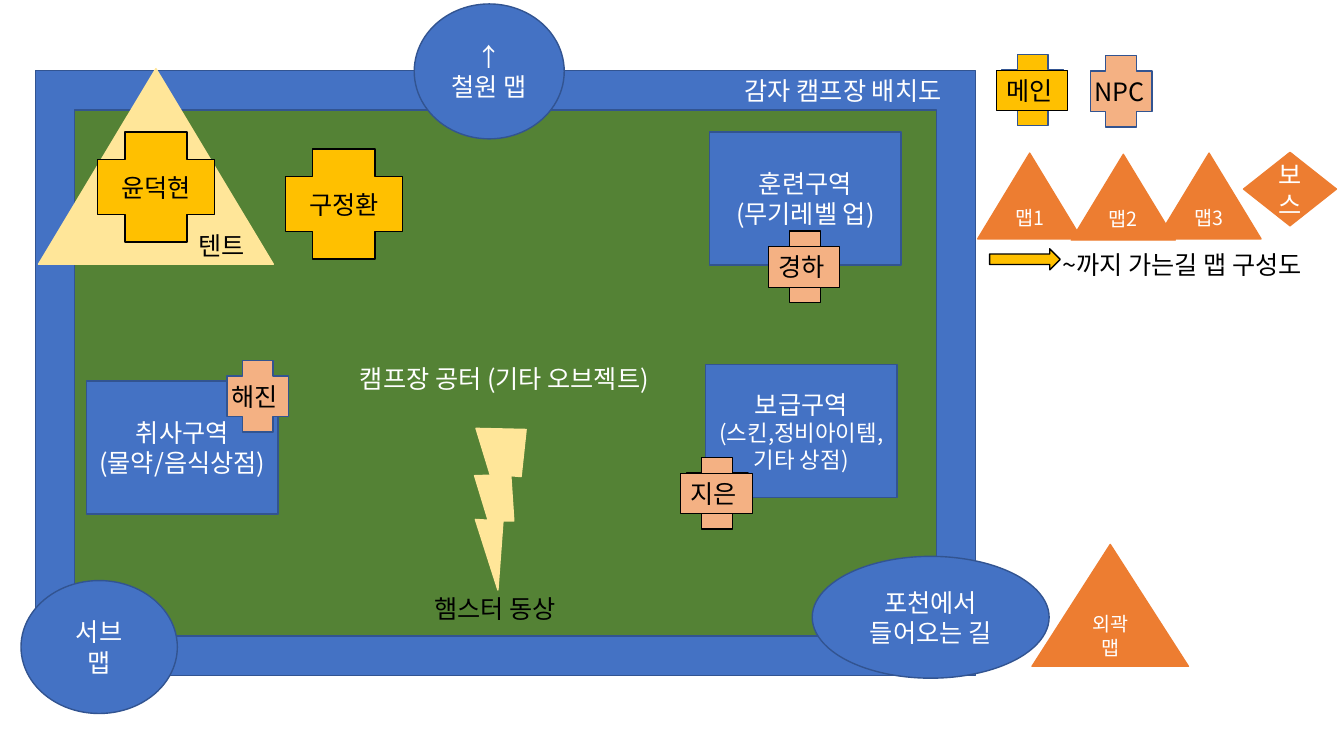
from lxml.etree import SubElement
from pptx import Presentation
from pptx.dml.color import RGBColor
from pptx.enum.shapes import MSO_SHAPE
from pptx.enum.text import MSO_ANCHOR, MSO_AUTO_SIZE, PP_ALIGN
from pptx.oxml.ns import qn
from pptx.util import Cm, Pt

FONT = "Noto Sans CJK KR"
COLORS = {
    "blue": "4472C4",
    "navy": "325491",
    "green": "548235",
    "orange": "ED7D31",
    "peach": "F4B183",
    "gold": "FFC000",
    "cream": "FFE699",
    "white": "FFFFFF",
    "black": "000000",
}
LABEL_HEIGHT = 1.02


def color(name):
    return RGBColor.from_string(COLORS[name])


def write_text(shape, text, size=18, last_size=None, ink="white",
               align=PP_ALIGN.CENTER, anchor=MSO_ANCHOR.MIDDLE, wrap=True, grow=False):
    frame = shape.text_frame
    frame.word_wrap = wrap
    frame.vertical_anchor = anchor
    frame.auto_size = MSO_AUTO_SIZE.SHAPE_TO_FIT_TEXT if grow else MSO_AUTO_SIZE.NONE
    lines = text.split("\n")
    for index, line in enumerate(lines):
        paragraph = frame.add_paragraph() if index else frame.paragraphs[0]
        paragraph.alignment = align
        run = paragraph.add_run()
        run.text = line
        run.font.size = Pt(last_size if last_size and index == len(lines) - 1 else size)
        run.font.name = FONT
        run.font.color.rgb = color(ink)
        SubElement(run.font._element, qn("a:ea")).set("typeface", FONT)


def add_figure(slide, kind, box, fill, line, text=None, line_width=1, **text_format):
    shape = slide.shapes.add_shape(kind, *map(Cm, box))
    shape.shadow.inherit = False
    shape.fill.solid()
    shape.fill.fore_color.rgb = color(fill)
    shape.line.color.rgb = color(line)
    shape.line.width = Pt(line_width)
    if text:
        write_text(shape, text, **text_format)
    return shape


def add_label(slide, text, left, top, width, ink="black", wrap=False):
    label = slide.shapes.add_textbox(Cm(left), Cm(top), Cm(width), Cm(LABEL_HEIGHT))
    write_text(label, text, ink=ink, align=PP_ALIGN.LEFT, anchor=MSO_ANCHOR.TOP,
               wrap=wrap, grow=True)


def add_marker(slide, name, left, top, fill, line, boxed):
    add_figure(slide, MSO_SHAPE.CROSS, (left, top, 1.55, 1.8), fill, line)
    label_left, label_top, label_width = left - 0.14, top + 0.4, 1.8
    if boxed:
        add_figure(slide, MSO_SHAPE.RECTANGLE,
                   (label_left, label_top, label_width, LABEL_HEIGHT), fill, "black", name,
                   line_width=0.75, ink="black", align=PP_ALIGN.LEFT,
                   anchor=MSO_ANCHOR.TOP, wrap=False, grow=True)
    else:
        add_label(slide, name, label_left, label_top, label_width)


def add_camp(slide):
    add_figure(slide, MSO_SHAPE.RECTANGLE, (1.8, 2.79, 21.82, 13.51), "green", "green",
               "캠프장 공터 (기타 오브젝트)")
    border = add_figure(slide, MSO_SHAPE.FRAME, (0.89, 1.78, 23.7, 15.24), "blue", "navy")
    border.adjustments[0] = 0.065
    add_label(slide, "감자 캠프장 배치도", 18.52, 1.78, 6.1, ink="white")


def add_route_maps(slide):
    for text, left, top in [("맵1", 24.64, 3.86), ("맵2", 27, 3.89), ("맵3", 29.16, 3.86)]:
        add_figure(slide, MSO_SHAPE.ISOSCELES_TRIANGLE, (left, top, 2.62, 2.16),
                   "orange", "orange", text, size=14)
    add_figure(slide, MSO_SHAPE.DIAMOND, (31.34, 3.84, 2.34, 1.85), "orange", "orange", "보스")
    add_figure(slide, MSO_SHAPE.ISOSCELES_TRIANGLE, (26.01, 13.72, 3.94, 3.07),
               "orange", "orange", "외곽 맵", size=14)
    add_figure(slide, MSO_SHAPE.RIGHT_ARROW, (24.94, 6.27, 1.78, 0.53), "gold", "black")
    add_label(slide, "~까지 가는길 맵 구성도", 26.52, 6.17, 7.42, wrap=True)


def add_zones(slide):
    zones = [
        ("취사구역\n(물약/음식상점)", 2.18, 9.6, 18),
        ("훈련구역\n(무기레벨 업)", 17.88, 3.33, 18),
        ("보급구역\n(스킨,정비아이템,기타 상점)", 17.78, 9.19, 16),
    ]
    for text, left, top, last_size in zones:
        add_figure(slide, MSO_SHAPE.RECTANGLE, (left, top, 4.83, 3.35), "blue", "navy",
                   text, last_size=last_size)


def add_markers(slide):
    markers = [
        ("해진", 5.72, 9.09, "peach", "navy", False),
        ("지은", 17.3, 11.53, "peach", "black", True),
        ("경하", 19.51, 5.82, "peach", "black", True),
        ("메인", 25.25, 1.37, "gold", "navy", True),
        ("NPC", 27.48, 1.4, "peach", "navy", False),
    ]
    for marker in markers:
        add_marker(slide, *marker)


def add_exits(slide):
    exits = [
        ("포천에서\n들어오는 길", (20.47, 14.02, 5.97, 3.07)),
        ("서브\n맵", (0.53, 14.63, 3.94, 3.35)),
        ("↑\n철원 맵", (10.44, 0.1, 3.78, 3.4)),
    ]
    for text, box in exits:
        add_figure(slide, MSO_SHAPE.OVAL, box, "blue", "navy", text)


def add_tent_and_statue(slide):
    add_figure(slide, MSO_SHAPE.ISOSCELES_TRIANGLE, (0.97, 1.73, 5.92, 4.93), "cream", "cream")
    for name, left, top in [("구정환", 7.19, 3.76), ("윤덕현", 2.46, 3.33)]:
        add_figure(slide, MSO_SHAPE.CROSS, (left, top, 2.95, 2.77), "gold", "black",
                   name, ink="black")
    add_label(slide, "텐트", 4.75, 5.69, 1.98, wrap=True)
    statue = add_figure(slide, MSO_SHAPE.LIGHTNING_BOLT, (11.1, 10.67, 2.72, 3.76),
                        "cream", "cream")
    statue.rotation = 33.7
    add_label(slide, "햄스터 동상", 10.69, 14.83, 3.94)


def main():
    presentation = Presentation()
    presentation.slide_width = Cm(33.87)
    presentation.slide_height = Cm(19.05)
    slide = presentation.slides.add_slide(presentation.slide_layouts[6])
    add_camp(slide)
    add_route_maps(slide)
    add_zones(slide)
    add_markers(slide)
    add_exits(slide)
    add_tent_and_statue(slide)
    presentation.save("out.pptx")


if __name__ == "__main__":
    main()
